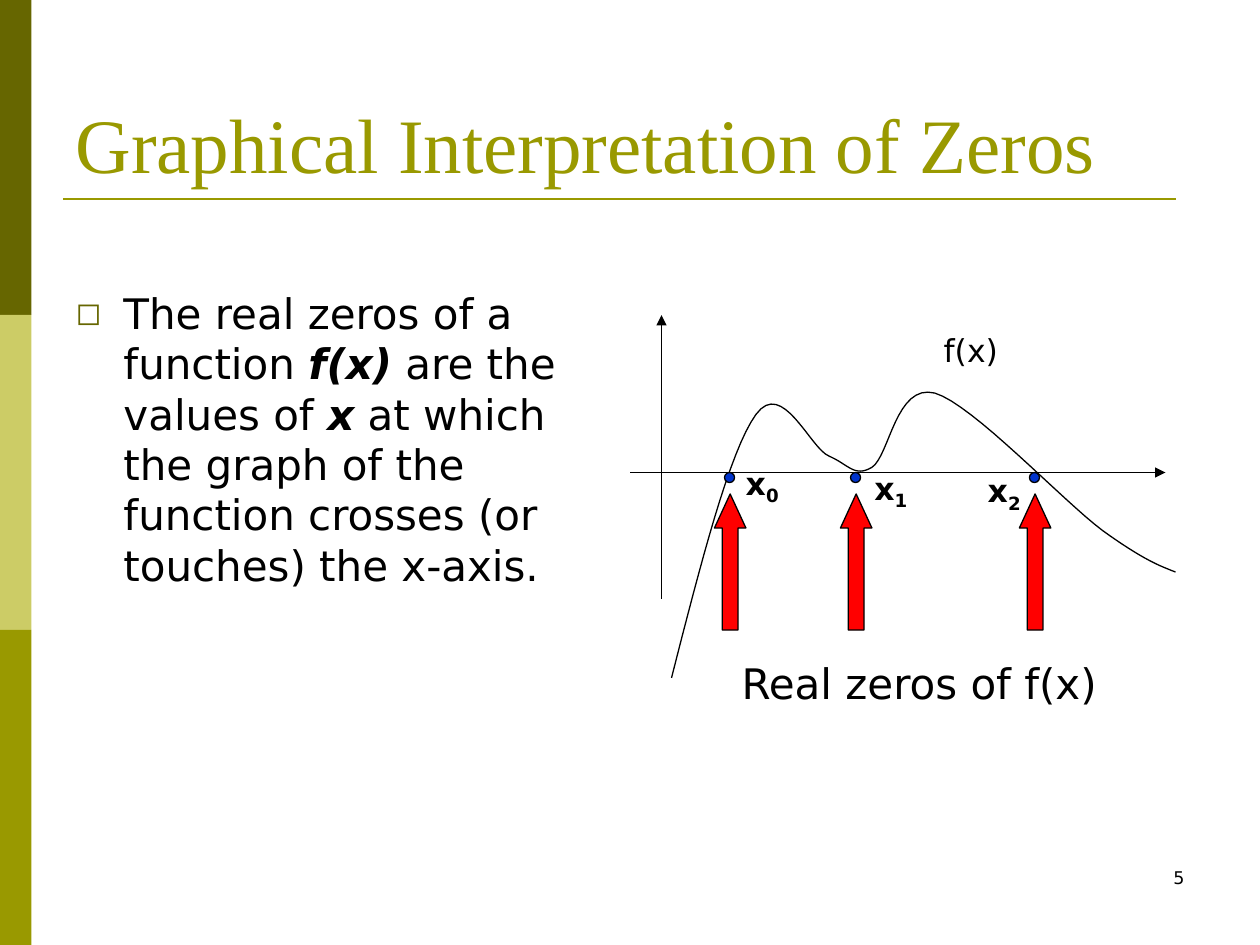
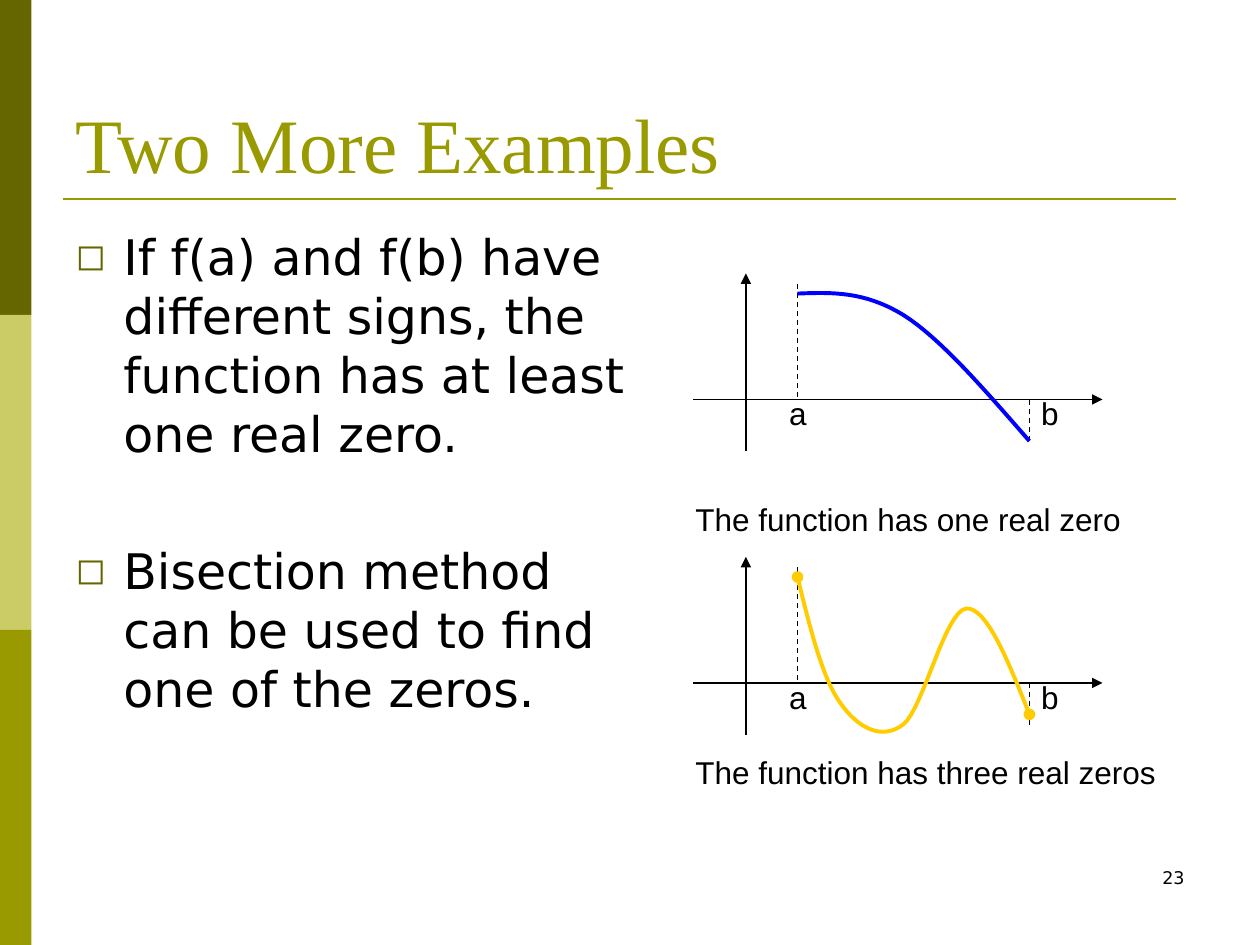
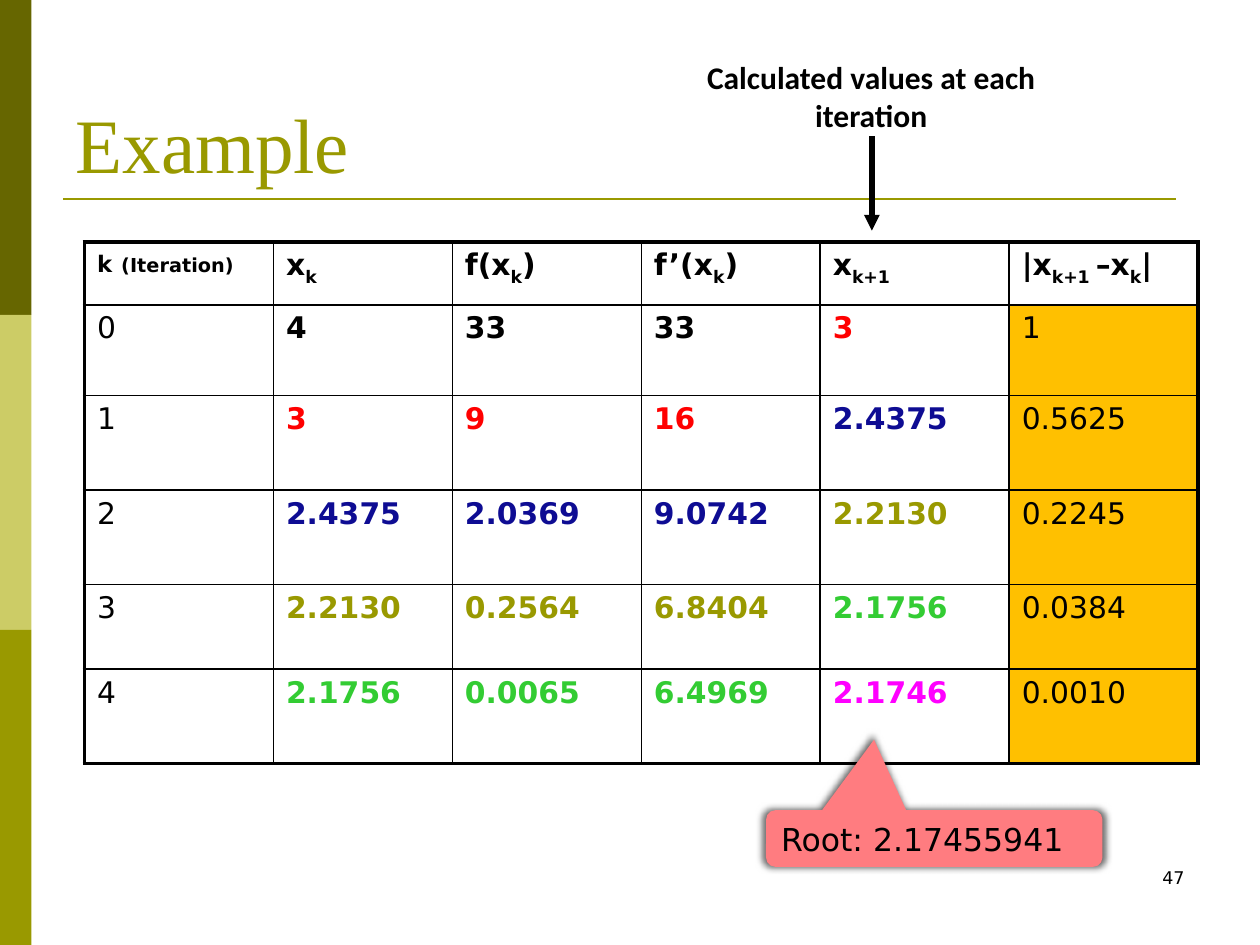
from dataclasses import dataclass

from lxml import etree
from pptx import Presentation
from pptx.dml.color import RGBColor
from pptx.enum.dml import MSO_LINE
from pptx.enum.shapes import MSO_CONNECTOR, MSO_SHAPE
from pptx.enum.text import MSO_ANCHOR, MSO_AUTO_SIZE, PP_ALIGN
from pptx.oxml.ns import qn
from pptx.util import Inches, Pt

LEFT, CENTER, RIGHT = PP_ALIGN.LEFT, PP_ALIGN.CENTER, PP_ALIGN.RIGHT
TOP, MIDDLE, BOTTOM = MSO_ANCHOR.TOP, MSO_ANCHOR.MIDDLE, MSO_ANCHOR.BOTTOM
RECT, OVAL, UP_ARROW = MSO_SHAPE.RECTANGLE, MSO_SHAPE.OVAL, MSO_SHAPE.UP_ARROW
CALLOUT = MSO_SHAPE.ROUNDED_RECTANGULAR_CALLOUT
STRAIGHT, DASH = MSO_CONNECTOR.STRAIGHT, MSO_LINE.DASH
NO_AUTOFIT = MSO_AUTO_SIZE.NONE
TITLE_AND_BODY, TITLE_ONLY = 1, 5


@dataclass(frozen=True)
class Theme:
    # Colours
    black: str = "000000"
    dark_olive: str = "666600"
    pale_olive: str = "CCCC66"
    olive: str = "999900"
    red: str = "FF0000"
    dot: str = "0033CC"
    blue: str = "0000FF"
    yellow: str = "FFCC00"
    navy: str = "0E0C93"
    green: str = "33CC33"
    magenta: str = "FF00FF"
    amber: str = "FFC000"
    pink: str = "FF7C80"
    # Fonts and type sizes
    title_font: str = "Times New Roman"
    body_font: str = "DejaVu Sans"
    plot_font: str = "Arial"
    note_font: str = "Calibri"
    title_size: int = 44
    list_size: int = 28
    text_size: int = 24
    label_size: int = 18
    cell_size: int = 17
    number_size: int = 10
    # Line widths
    thin: float = 0.75
    grid: float = 1
    rule: float = 1.5
    thick: float = 2.25
    heavy: float = 3


T = Theme()
SUB = {"sub": True}
STRONG = {"bold": True, "italic": True}


def rgb(color):
    return RGBColor.from_string(color)


def add_xml(parent, tag, **attrs):
    return etree.SubElement(parent, qn(tag), {k: str(v) for k, v in attrs.items()})


def add_run(p, text, size=T.label_size, font=T.body_font, color=T.black,
            bold=False, italic=False, sub=False):
    r = p.add_run()
    r.text = text
    f = r.font
    f.size, f.name, f.bold, f.italic = Pt(size), font, bold, italic
    f.color.rgb = rgb(color)
    if sub:
        r._r.get_or_add_rPr().set("baseline", "-25000")


def write(p, text, alt=SUB, **fmt):
    """Add text in which ~ switches the alt format on and off."""
    for i, part in enumerate(text.split("~")):
        if part:
            add_run(p, part, **(fmt | alt if i % 2 else fmt))


def bezier(points, steps=16):
    """Points along joined cubic curves: a start, then three points per curve."""
    out = [points[0]]
    for i in range(0, len(points) - 1, 3):
        a, b, c, d = points[i:i + 4]
        for t in (n / steps for n in range(1, steps + 1)):
            u = 1 - t
            out.append(tuple(u**3 * a[k] + 3 * u * u * t * b[k]
                             + 3 * u * t * t * c[k] + t**3 * d[k] for k in (0, 1)))
    return out


class Deck:
    def __init__(self):
        self.prs = Presentation()
        self.prs.slide_width, self.prs.slide_height = Inches(10), Inches(7.5)
        self.s = None

    def slide(self, layout, title, number):
        first = self.s is None
        self.s = self.prs.slides.add_slide(self.prs.slide_layouts[layout])
        if first:
            self.decorate_master()
        tf = self.place(self.s.shapes.title, 0.5, 0.3, 9, 1.25, BOTTOM)
        p = tf.paragraphs[0]
        p.alignment = LEFT
        write(p, title, size=T.title_size, font=T.title_font, color=T.olive)
        self.text(str(number), 7.17, 6.83, 2.33, 0.5, align=RIGHT, size=T.number_size)

    def decorate_master(self):
        """Draw the side bands and title rule, then move them to the master."""
        bands = (T.dark_olive, T.pale_olive, T.olive)
        parts = [self.shape(RECT, 0, 2.5 * i, 0.25, 2.5, c) for i, c in enumerate(bands)]
        parts.append(self.line(0.5, 1.58, 9.33, 1.58, T.olive, T.rule))
        for i, part in enumerate(parts, 100):
            part.element.xpath(".//p:cNvPr")[0].set("id", str(i))
            self.prs.slide_master.shapes.element.append(part.element)

    def place(self, sp, x, y, w, h, anchor=TOP):
        sp.left, sp.top, sp.width, sp.height = (Inches(v) for v in (x, y, w, h))
        tf = sp.text_frame
        tf.word_wrap, tf.auto_size, tf.vertical_anchor = True, NO_AUTOFIT, anchor
        return tf

    def text(self, text, x, y, w, h=0.4, align=LEFT, **fmt):
        sp = self.s.shapes.add_textbox(0, 0, 0, 0)
        p = self.place(sp, x, y, w, h).paragraphs[0]
        p.alignment = align
        write(p, text, **fmt)

    def bullets(self, items, x, y, w, h, size, inset=0.05, gap=0):
        tf = self.place(self.s.placeholders[1], x, y, w, h)
        tf.margin_top = Inches(inset)
        for i, item in enumerate(items):
            p = tf.add_paragraph() if i else tf.paragraphs[0]
            p.space_before = Pt(gap if i else 0)
            pPr = p._p.get_or_add_pPr()
            pPr.set("marL", str(Inches(0.38)))
            pPr.set("indent", str(Inches(-0.38)))
            add_xml(add_xml(pPr, "a:buClr"), "a:srgbClr", val=T.dark_olive)
            add_xml(pPr, "a:buSzPct", val=75000)
            add_xml(pPr, "a:buFont", typeface=T.body_font)
            add_xml(pPr, "a:buChar", char="◻")
            write(p, item, alt=STRONG, size=size)

    def shape(self, kind, x, y, w, h, fill, outline=None, adj=()):
        sp = self.s.shapes.add_shape(kind, *(Inches(v) for v in (x, y, w, h)))
        sp.shadow.inherit = False
        sp.fill.solid()
        sp.fill.fore_color.rgb = rgb(fill)
        if outline:
            self.stroke(sp, outline, T.thin)
        else:
            sp.line.fill.background()
        for i, value in enumerate(adj):
            sp.adjustments[i] = value
        return sp

    def stroke(self, sp, color, width, dash=None, head=None, tail=None):
        sp.line.color.rgb = rgb(color)
        sp.line.width = Pt(width)
        if dash:
            sp.line.dash_style = dash
        ln = sp.element.spPr.find(qn("a:ln"))
        for tag, end in (("a:headEnd", head), ("a:tailEnd", tail)):
            if end:
                add_xml(ln, tag, type=end)

    def line(self, x1, y1, x2, y2, color=T.black, width=T.thin, **ends):
        c = self.s.shapes.add_connector(STRAIGHT, *(Inches(v) for v in (x1, y1, x2, y2)))
        self.stroke(c, color, width, **ends)
        add_xml(c.element.spPr, "a:effectLst")
        return c

    def arrow(self, *ends, **fmt):
        self.line(*ends, tail="triangle", **fmt)

    def curve(self, points, color=T.black, width=T.thin, **ends):
        start, *rest = [(Inches(x), Inches(y)) for x, y in bezier(points)]
        fb = self.s.shapes.build_freeform(*start)
        fb.add_line_segments(rest, close=False)
        sp = fb.convert_to_shape()
        sp.shadow.inherit = False
        sp.fill.background()
        self.stroke(sp, color, width, **ends)

    def callout(self, text, x, y, w, h, adj):
        sp = self.shape(CALLOUT, x, y, w, h, T.pink, adj=adj)
        p = self.place(sp, x, y, w, h, MIDDLE).paragraphs[0]
        p.alignment = LEFT
        write(p, text)
        # Soft dark halo
        glow = add_xml(sp.element.spPr.find(qn("a:effectLst")), "a:outerShdw",
                       blurRad=Pt(4), dist=0, sx=102000, sy=104000,
                       algn="ctr", rotWithShape=0)
        add_xml(add_xml(glow, "a:srgbClr", val=T.black), "a:alpha", val=60000)

    def table(self, x, y, cols, rows):
        gf = self.s.shapes.add_table(len(rows), len(cols), Inches(x), Inches(y),
                                     Inches(sum(cols)), Inches(sum(rows)))
        tbl = gf.table
        tbl.first_row = tbl.horz_banding = False
        for col, w in zip(tbl.columns, cols):
            col.width = Inches(w)
        for row, h in zip(tbl.rows, rows):
            row.height = Inches(h)
        return tbl

    def cell(self, tbl, row, col, runs, fill=None):
        c = tbl.cell(row, col)
        edges = {"L": col == 0, "R": col == len(tbl.columns) - 1,
                 "T": row == 0, "B": row == len(tbl.rows) - 1}
        tcPr = c._tc.get_or_add_tcPr()
        for side, outer in edges.items():
            ln = add_xml(tcPr, "a:ln" + side, w=Pt(T.thick if outer else T.grid))
            add_xml(add_xml(ln, "a:solidFill"), "a:srgbClr", val=T.black)
        if fill:
            c.fill.solid()
            c.fill.fore_color.rgb = rgb(fill)
        else:
            c.fill.background()
        for text, fmt in runs:
            write(c.text_frame.paragraphs[0], text, **fmt)


def zeros_slide(d):
    d.slide(TITLE_AND_BODY, "Graphical Interpretation of Zeros", 5)
    d.bullets(["The real zeros of a function ~f(x)~ are the values of ~x~ at which "
               "the graph of the function crosses (or touches) the x-axis."],
              0.5, 1.75, 4.58, 4.95, T.text_size, inset=0.53)
    # Axes and curve
    d.arrow(5.25, 4.75, 5.25, 2.5)
    d.arrow(5, 3.75, 9.25, 3.75)
    d.curve([(5.33, 5.38), (5.56, 4.48), (5.79, 3.58), (6, 3.29),
             (6.21, 3), (6.43, 3.56), (6.58, 3.62),
             (6.74, 3.69), (6.78, 3.79), (6.92, 3.71),
             (7.06, 3.62), (7.11, 3.04), (7.42, 3.12),
             (7.72, 3.21), (8.43, 3.97), (8.75, 4.21),
             (9.07, 4.44), (9.2, 4.49), (9.33, 4.54)])
    d.text("f(x)", 7.33, 2.58, 0.75, align=CENTER)
    # Zeros: dot, arrow and label
    zeros = [(5.75, 5.82, 3.63), (6.75, 6.84, 3.67), (8.17, 7.74, 3.69)]
    for i, (x, label_x, label_y) in enumerate(zeros):
        d.shape(OVAL, x, 3.75, 0.08, 0.08, T.dot, T.black)
        d.shape(UP_ARROW, x - 0.08, 3.92, 0.25, 1.08, T.red, T.black, adj=(0.5, 1.083))
        d.text(f"x~{i}", label_x, label_y, 0.49, bold=True)
    d.text("Real zeros of f(x)", 5.42, 5.17, 3.75, 0.5, align=CENTER, size=T.text_size)


def interval_plot(d, y, points, color, **ends):
    """Draw a function over [a, b] with its x-axis at height y."""
    d.arrow(5.5, y, 8.75, y)
    d.arrow(5.92, y + 0.41, 5.92, y - 1)
    d.line(6.33, y - 0.92, 6.33, y, dash=DASH)
    d.line(8.17, y + 0.33, 8.17, y, dash=DASH)
    for name, x in (("a", 5.92), ("b", 7.92)):
        d.text(name, x, y - 0.09, 0.58, align=RIGHT, font=T.plot_font)
    d.curve(points, color, T.thick, **ends)


def examples_slide(d):
    d.slide(TITLE_AND_BODY, "Two More Examples", 23)
    d.bullets(["If f(a) and f(b) have different signs, the function has at least "
               "one real zero.",
               "Bisection method can be used to find one of the zeros."],
              0.5, 1.75, 4.75, 4.33, T.list_size, gap=45)
    interval_plot(d, 3.17, [(6.33, 2.33), (6.6, 2.32), (6.86, 2.31), (7.17, 2.5),
                            (7.47, 2.69), (7.82, 3.1), (8.17, 3.5)], T.blue)
    interval_plot(d, 5.42, [(6.33, 4.58), (6.43, 4.99), (6.53, 5.39), (6.67, 5.58),
                            (6.81, 5.78), (7, 5.88), (7.17, 5.75),
                            (7.33, 5.62), (7.5, 4.85), (7.67, 4.83),
                            (7.83, 4.82), (8, 5.24), (8.17, 5.67)],
                  T.yellow, head="oval", tail="oval")
    d.text("The function has one real zero", 5.42, 3.92, 3.75, font=T.plot_font)
    d.text("The function has three real zeros", 5.42, 5.93, 3.92, font=T.plot_font)


def iteration_slide(d):
    d.slide(TITLE_ONLY, "Example", 47)
    tbl = d.table(0.67, 1.92, [1.5, 1.42, 1.5, 1.42, 1.5, 1.5],
                  [0.5, 0.72, 0.75, 0.75, 0.67, 0.75])
    # Header row
    d.cell(tbl, 0, 0, [(text, {"size": size, "bold": True})
                       for text, size in (("k", 13), (" ", 15), ("(Iteration)", 11))])
    heads = ["x~k", "f(x~k~)", "f’(x~k~)", "x~k+1", "|x~k+1 ~–x~k~|"]
    for col, head in enumerate(heads, 1):
        d.cell(tbl, 0, col, [(head, {"size": T.cell_size, "bold": True})])
    # Each estimate keeps its colour when it moves to the next row
    estimates = ["4", "3", "2.4375", "2.2130", "2.1756", "2.1746"]
    colors = [T.black, T.red, T.navy, T.olive, T.green, T.magenta]
    results = [("33", "33", "1"), ("9", "16", "0.5625"), ("2.0369", "9.0742", "0.2245"),
               ("0.2564", "6.8404", "0.0384"), ("0.0065", "6.4969", "0.0010")]
    for k, (value, slope, error) in enumerate(results):
        texts = [str(k), estimates[k], value, slope, estimates[k + 1], error]
        inks = [T.black] + [colors[k]] * 3 + [colors[k + 1], T.black]
        for col, (text, ink) in enumerate(zip(texts, inks)):
            fmt = {"size": T.cell_size, "color": ink, "bold": 0 < col < 5}
            d.cell(tbl, k + 1, col, [(text, fmt)], fill=T.amber if col == 5 else None)
    # Annotations
    d.callout("Root: 2.17455941", 6.08, 6.43, 2.67, 0.45, adj=(-0.179, -1.743, 0.167))
    d.text("Calculated values at each iteration", 5.33, 0.41, 3.17, 0.71,
           align=CENTER, font=T.note_font, bold=True)
    d.arrow(6.92, 1.08, 6.92, 1.83, width=T.heavy)


def main():
    d = Deck()
    zeros_slide(d)
    examples_slide(d)
    iteration_slide(d)
    d.prs.save("out.pptx")


if __name__ == "__main__":
    main()
